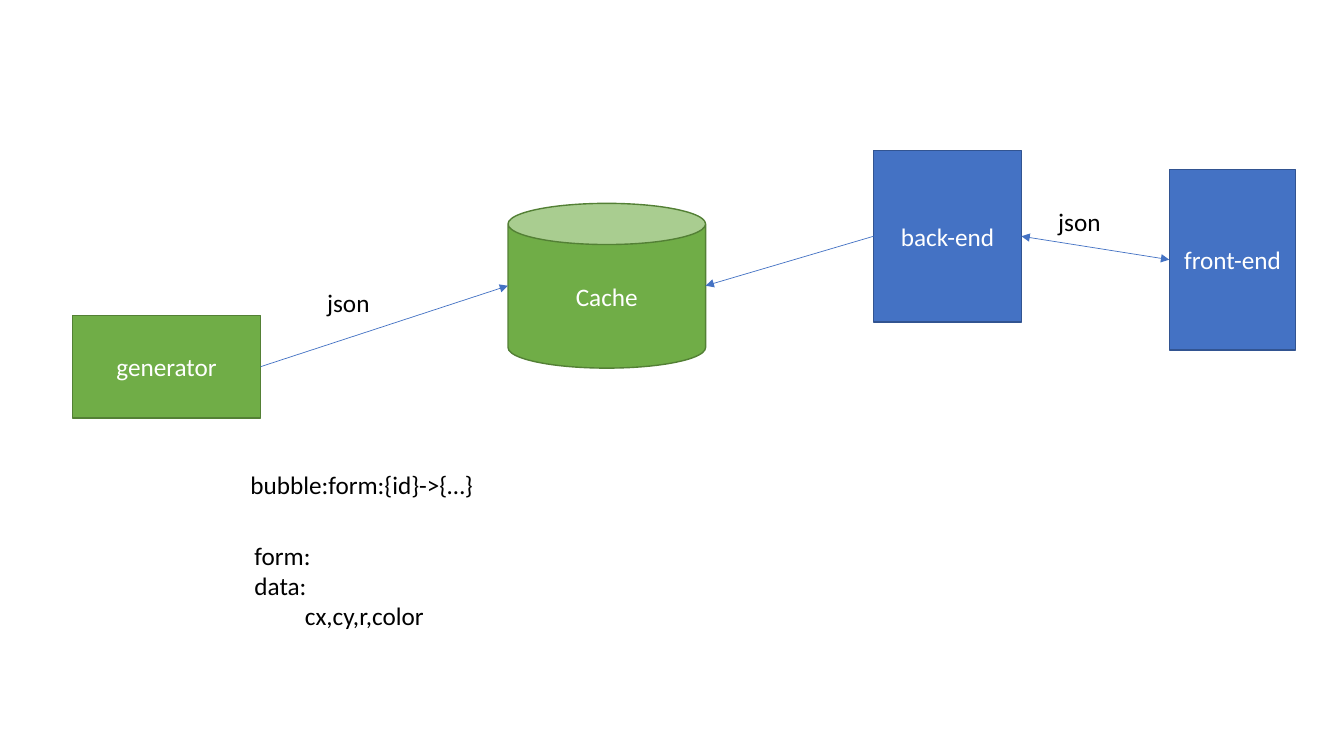
from dataclasses import dataclass

from lxml import etree
from pptx import Presentation, util as u
from pptx.dml.color import RGBColor
from pptx.enum import shapes, text
from pptx.oxml import ns

GREEN = RGBColor(0x70, 0xAD, 0x47)
DARK_GREEN = RGBColor(0x53, 0x80, 0x35)
BLUE = RGBColor(0x44, 0x72, 0xC4)
DARK_BLUE = RGBColor(0x32, 0x54, 0x91)
WHITE = RGBColor(0xFF, 0xFF, 0xFF)
BLACK = RGBColor(0x00, 0x00, 0x00)

FONT = "Calibri"
SIZE = u.Pt(18)
RECT = shapes.MSO_SHAPE.RECTANGLE
CAN = shapes.MSO_SHAPE.CAN

prs = Presentation()
prs.slide_width = u.Inches(13.33)
prs.slide_height = u.Inches(7.5)
s = prs.slides.add_slide(prs.slide_layouts[6])


@dataclass(frozen=True)
class Area:
    """Left, top, width and height in percent of the slide."""
    x: float
    y: float
    w: float
    h: float

    def emu(self) -> tuple[int, int, int, int]:
        return (across(self.x), down(self.y), across(self.w), down(self.h))

    def left(self) -> tuple[int, int]:
        return across(self.x), down(self.y + self.h / 2)

    def right(self) -> tuple[int, int]:
        return across(self.x + self.w), down(self.y + self.h / 2)


@dataclass(frozen=True)
class Node:
    label: str
    area: Area
    fill: RGBColor
    line: RGBColor
    kind: shapes.MSO_SHAPE = RECT


@dataclass(frozen=True)
class Note:
    lines: tuple[str, ...]
    area: Area


@dataclass(frozen=True)
class Arrow:
    start: tuple[int, int]
    end: tuple[int, int]
    ends: tuple[str, ...] = ("tailEnd",)


def across(share: float) -> int:
    return round(prs.slide_width * share / 100)


def down(share: float) -> int:
    return round(prs.slide_height * share / 100)


def style(p, color: RGBColor) -> None:
    p.font.name, p.font.size = FONT, SIZE
    p.font.color.rgb = color


def draw_node(node: Node) -> None:
    sp = s.shapes.add_shape(node.kind, *node.area.emu())
    sp.shadow.inherit = False
    sp.fill.solid()
    sp.fill.fore_color.rgb = node.fill
    sp.line.color.rgb = node.line
    sp.line.width = u.Pt(1)
    tf = sp.text_frame
    tf.vertical_anchor = text.MSO_ANCHOR.MIDDLE
    p = tf.paragraphs[0]
    p.text = node.label
    p.alignment = text.PP_ALIGN.CENTER
    style(p, WHITE)


def draw_note(note: Note) -> None:
    tf = s.shapes.add_textbox(*note.area.emu()).text_frame
    tf.word_wrap = False
    tf.auto_size = text.MSO_AUTO_SIZE.SHAPE_TO_FIT_TEXT
    tf.text = "\n".join(note.lines)
    for p in tf.paragraphs:
        style(p, BLACK)


def draw_arrow(arrow: Arrow) -> None:
    c = s.shapes.add_connector(shapes.MSO_CONNECTOR.STRAIGHT, *arrow.start, *arrow.end)
    c.line.color.rgb = BLUE
    c.line.width = u.Pt(0.5)
    ln = c.line._get_or_add_ln()
    for end in arrow.ends:
        etree.SubElement(ln, ns.qn(f"a:{end}"), type="triangle")
    etree.SubElement(c._element.spPr, ns.qn("a:effectLst"))


store = Node("Cache", Area(37.8, 26.9, 14.7, 21.8), GREEN, DARK_GREEN, CAN)
generator = Node("generator", Area(5.4, 41.7, 14, 13.6), GREEN, DARK_GREEN)
back_end = Node("back-end", Area(65, 19.9, 11, 22.7), BLUE, DARK_BLUE)
front_end = Node("front-end", Area(87, 22.4, 9.4, 23.9), BLUE, DARK_BLUE)

ARROWS = (
    Arrow(generator.area.right(), store.area.left()),
    Arrow(back_end.area.left(), store.area.right()),
    Arrow(front_end.area.left(), back_end.area.right(), ("headEnd", "tailEnd")),
)
NOTES = (
    Note(("json",), Area(78, 26.7, 4.7, 5.4)),
    Note(("json",), Area(23.6, 37.3, 4.7, 5.4)),
    Note(("bubble:form:{id}->{…}",), Area(17.9, 61.4, 18.2, 5.4)),
    Note(("form:", "data:", "\tcx,cy,r,color"), Area(18.2, 70.8, 18, 13.5)),
)

for node in (store, generator, back_end, front_end):
    draw_node(node)
for arrow in ARROWS:
    draw_arrow(arrow)
for note in NOTES:
    draw_note(note)

prs.save("out.pptx")
